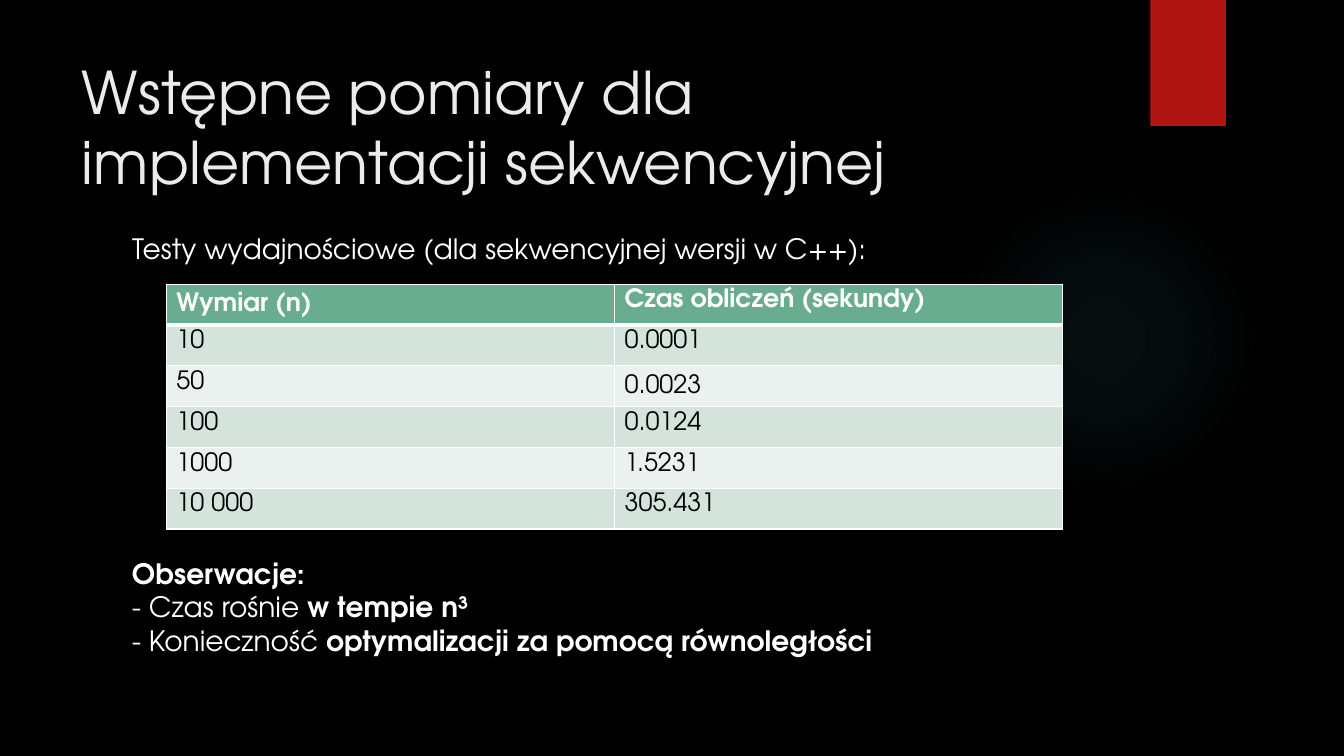
from dataclasses import dataclass

from lxml import etree
from pptx import Presentation
from pptx.dml.color import RGBColor
from pptx.enum.shapes import MSO_SHAPE
from pptx.enum.text import MSO_ANCHOR, MSO_AUTO_SIZE, PP_ALIGN
from pptx.oxml import parse_xml
from pptx.oxml.ns import nsdecls, qn
from pptx.util import Emu, Pt

RECTANGLE, ELLIPSE = MSO_SHAPE.RECTANGLE, MSO_SHAPE.OVAL
TOP, MIDDLE = MSO_ANCHOR.TOP, MSO_ANCHOR.MIDDLE
LEFT = PP_ALIGN.LEFT
NO_AUTOFIT = MSO_AUTO_SIZE.NONE
EMU_PER_PX = 9144  # 100 px to the inch


@dataclass(frozen=True)
class Theme:
    font: str = "TeX Gyre Adventor"
    background: str = "000000"
    ribbon: str = "B01513"
    glow: str = "50B9C1"
    title: str = "EBEBEB"
    text: str = "FFFFFF"
    table_text: str = "000000"
    header: str = "6AAC90"
    bands: tuple = ("D4E3DB", "EBF1EE")
    border: str = "FFFFFF"
    title_size: int = 42
    body_size: int = 20
    table_size: int = 18


def px(length):
    return Emu(round(length * EMU_PER_PX))


def color(value):
    return RGBColor.from_string(value)


def write_text(frame, runs, *, font, size, fill, space_before=0):
    """Fill a frame with one paragraph of (text, bold) runs; a newline breaks the line."""
    frame.word_wrap = True
    paragraph = frame.paragraphs[0]
    paragraph.alignment = LEFT
    paragraph.space_before = Pt(space_before)
    for text, bold in runs:
        for index, line in enumerate(text.split("\n")):
            if index:
                paragraph.add_line_break()
            if line:
                run = paragraph.add_run()
                run.text = line
                run.font.name = font
                run.font.size = Pt(size)
                run.font.bold = bold
                run.font.color.rgb = color(fill)
    return paragraph


class SlideBuilder:
    def __init__(self, presentation, theme):
        self.theme = theme
        self.slide = presentation.slides.add_slide(presentation.slide_layouts[1])
        background = self.slide.background.fill
        background.solid()
        background.fore_color.rgb = color(theme.background)

    def shape(self, kind, box, fill=None):
        shape = self.slide.shapes.add_shape(kind, *map(px, box))
        shape.shadow.inherit = False
        shape.line.fill.background()
        if fill:
            shape.fill.solid()
            shape.fill.fore_color.rgb = color(fill)
        else:
            shape.fill.background()
        return shape

    def glow(self, box, stops):
        properties = self.shape(ELLIPSE, box)._element.spPr
        stop_xml = "".join(
            f'<a:gs pos="{position * 1000}"><a:srgbClr val="{self.theme.glow}">'
            f'<a:alpha val="{opacity * 1000}"/></a:srgbClr></a:gs>'
            for position, opacity in stops
        )
        gradient = parse_xml(
            f'<a:gradFill {nsdecls("a")}><a:gsLst>{stop_xml}</a:gsLst><a:path path="circle">'
            '<a:fillToRect l="50000" t="50000" r="50000" b="50000"/></a:path></a:gradFill>'
        )
        properties.replace(properties.find(qn("a:noFill")), gradient)

    def placeholder(self, index, box, text, **style):
        shape = self.slide.placeholders[index]
        shape.left, shape.top, shape.width, shape.height = map(px, box)
        shape.text_frame.auto_size = NO_AUTOFIT
        shape.text_frame.vertical_anchor = TOP
        paragraph = write_text(shape.text_frame, [(text, False)], font=self.theme.font, **style)
        # No bullet or hanging indent
        properties = paragraph._p.get_or_add_pPr()
        properties.set("marL", "0")
        properties.set("indent", "0")
        etree.SubElement(properties, qn("a:buNone"))
        # Keep the placeholder in front of the decoration
        self.slide.shapes._spTree.append(shape._element)

    def text_box(self, box, runs, **style):
        shape = self.slide.shapes.add_textbox(*map(px, box))
        write_text(shape.text_frame, runs, font=self.theme.font, **style)

    def borders(self, cell, **widths):
        properties = cell._tc.get_or_add_tcPr()
        for side in "LRTB":
            line = etree.SubElement(properties, qn(f"a:ln{side}"), w=str(Pt(widths.get(side, 1))))
            fill = etree.SubElement(line, qn("a:solidFill"))
            etree.SubElement(fill, qn("a:srgbClr"), val=self.theme.border)

    def table(self, box, rows, middle_cells):
        theme = self.theme
        width, height = box[2:]
        table = self.slide.shapes.add_table(len(rows), len(rows[0]), *map(px, box)).table
        for column in table.columns:
            column.width = px(width / len(rows[0]))
        for row_index, values in enumerate(rows):
            table.rows[row_index].height = px(height / len(rows))
            is_header = row_index == 0
            for column_index, value in enumerate(values):
                cell = table.cell(row_index, column_index)
                self.borders(cell, T=3 if row_index == 1 else 1, B=3 if is_header else 1)
                cell.fill.solid()
                band = theme.bands[(row_index - 1) % 2]
                cell.fill.fore_color.rgb = color(theme.header if is_header else band)
                write_text(cell.text_frame, [(value, is_header)], font=theme.font,
                           size=theme.table_size,
                           fill=theme.text if is_header else theme.table_text)
                is_middle = (row_index, column_index) in middle_cells
                cell.vertical_anchor = MIDDLE if is_middle else TOP


def main():
    presentation = Presentation()
    presentation.slide_width, presentation.slide_height = px(1333), px(750)
    theme = Theme()
    builder = SlideBuilder(presentation, theme)
    body_style = dict(size=theme.body_size, fill=theme.text, space_before=10)

    # Decoration
    builder.glow((941, 183, 308, 308), [(0, 7), (36, 6), (69, 0)])
    builder.shape(RECTANGLE, (1141, 0, 75, 125), theme.ribbon)

    # Title and introduction
    builder.placeholder(0, (71, 50, 1029, 153), "Wstępne pomiary dla implementacji sekwencyjnej",
                        size=theme.title_size, fill=theme.title)
    builder.placeholder(1, (121, 225, 978, 153),
                        "Testy wydajnościowe (dla sekwencyjnej wersji w C++):", **body_style)

    # Measurements
    measurements = [
        ("Wymiar (n)", "Czas obliczeń (sekundy)"),
        ("10", "0.0001"),
        ("50", "0.0023"),
        ("100", "0.0124"),
        ("1000", "1.5231"),
        ("10 000", "305.431"),
    ]
    builder.table((165, 282, 889, 243), measurements, middle_cells={(0, 0), (2, 1)})

    # Observations
    observations = [
        ("Obserwacje:\n", True),
        ("- Czas rośnie ", False),
        ("w tempie n³\n", True),
        ("- Konieczność ", False),
        ("optymalizacji za pomocą równoległości", True),
    ]
    builder.text_box((121, 547, 978, 153), observations, **body_style)

    presentation.save("out.pptx")


if __name__ == "__main__":
    main()
